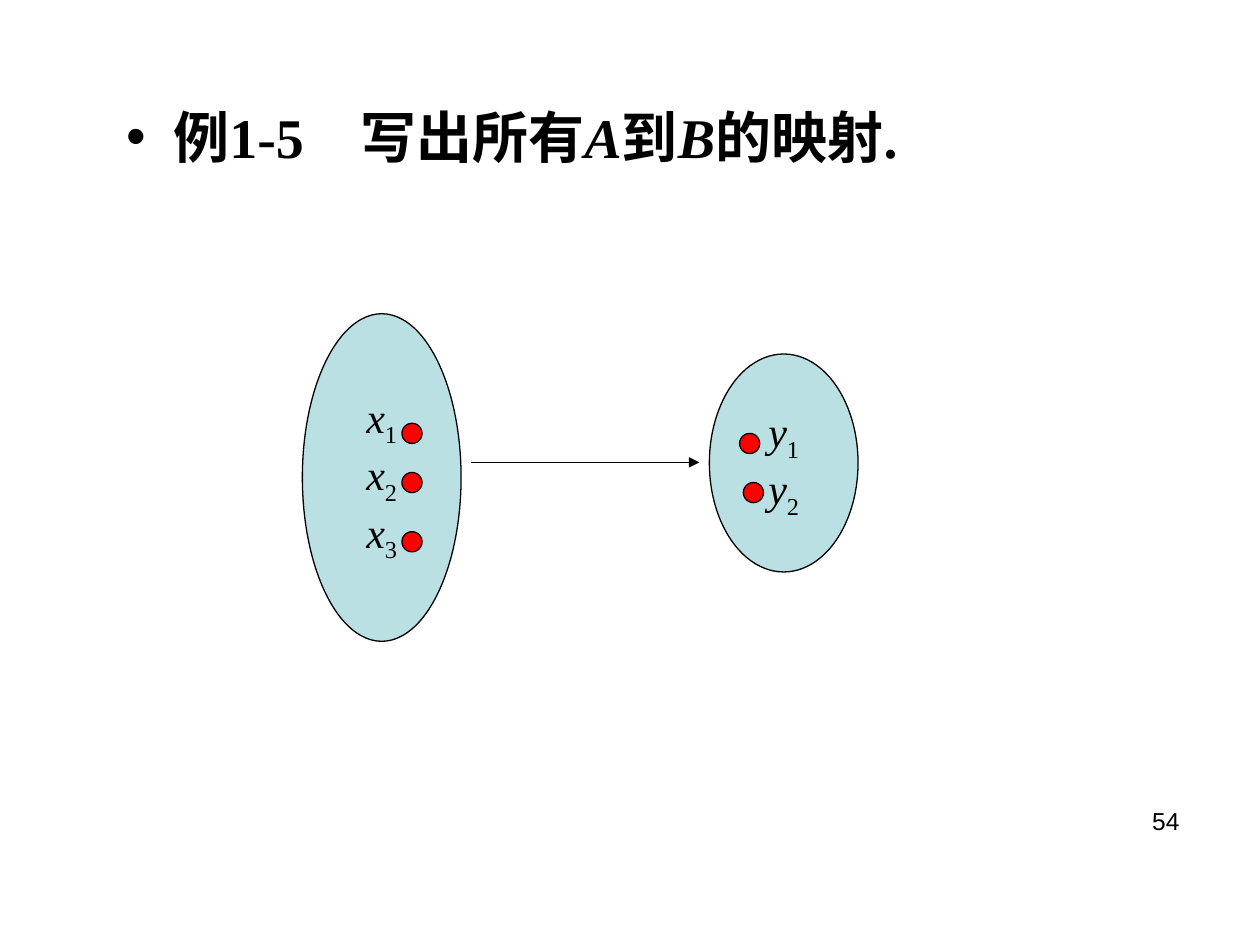
from lxml import etree
from pptx import Presentation
from pptx.dml.color import RGBColor
from pptx.enum.shapes import MSO_CONNECTOR, MSO_SHAPE
from pptx.enum.text import MSO_ANCHOR, MSO_AUTO_SIZE, PP_ALIGN
from pptx.oxml.ns import qn
from pptx.util import Inches, Pt

BLACK = RGBColor(0x00, 0x00, 0x00)
RED = RGBColor(0xFF, 0x00, 0x00)
PALE_BLUE = RGBColor(0xBB, 0xE0, 0xE3)
OVAL = MSO_SHAPE.OVAL
STRAIGHT = MSO_CONNECTOR.STRAIGHT
TOP, MIDDLE = MSO_ANCHOR.TOP, MSO_ANCHOR.MIDDLE
CENTER, RIGHT = PP_ALIGN.CENTER, PP_ALIGN.RIGHT
NO_AUTOFIT = MSO_AUTO_SIZE.NONE
SERIF, SANS = "Times New Roman", "Arial"
DOT = 0.16


def set_font(font, name, size):
    """Give a font its typeface and size in black."""
    font.name, font.size = name, Pt(size)
    font.color.rgb = BLACK


def add_exercise(slide, box):
    """Fill the body placeholder with the bulleted exercise."""
    slide.shapes.title.element.getparent().remove(slide.shapes.title.element)
    s = slide.placeholders[1]
    s.left, s.top, s.width, s.height = map(Inches, box)
    tf = s.text_frame
    tf.auto_size, tf.vertical_anchor = NO_AUTOFIT, TOP
    p = tf.paragraphs[0]
    p.space_before = Pt(0)
    set_font(p.font, SERIF, 32)
    p.font.bold = True
    for text in ("例1-5　写出所有", "A", "到", "B", "的映射."):
        r = p.add_run()
        r.text = text
        r.font.italic = text in ("A", "B")


def add_oval(slide, box, color):
    """Add a thinly outlined oval and return it."""
    s = slide.shapes.add_shape(OVAL, *map(Inches, box))
    s.shadow.inherit = False
    s.fill.solid()
    s.fill.fore_color.rgb = color
    s.line.color.rgb = BLACK
    s.line.width = Pt(0.75)
    return s


def add_set(slide, box, letter, dots):
    """Draw a set with one subscripted label per dot, dots offset from the box."""
    left, top = box[:2]
    tf = add_oval(slide, box, PALE_BLUE).text_frame
    tf.word_wrap, tf.vertical_anchor = False, MIDDLE
    for number, (dx, dy) in enumerate(dots, 1):
        p = tf.paragraphs[0] if number == 1 else tf.add_paragraph()
        p.alignment = CENTER
        set_font(p.font, SERIF, 24)
        r = p.add_run()
        r.text, r.font.italic = letter, True
        r = p.add_run()
        r.text = str(number)
        r.font._element.set("baseline", "-25000")
        add_oval(slide, (left + dx, top + dy, DOT, DOT), RED)


def add_arrow(slide, start, end, y):
    """Draw a level arrow from start to end."""
    s = slide.shapes.add_connector(
        STRAIGHT, Inches(start), Inches(y), Inches(end), Inches(y))
    s.line.color.rgb = BLACK
    s.line.width = Pt(0.75)
    etree.SubElement(s.line._get_or_add_ln(), qn("a:tailEnd"), type="triangle")
    etree.SubElement(s._element.spPr, qn("a:effectLst"))


def add_page_number(slide, box, number):
    """Write the right-aligned page number."""
    tf = slide.shapes.add_textbox(*map(Inches, box)).text_frame
    tf.word_wrap = True
    p = tf.paragraphs[0]
    p.alignment = RIGHT
    set_font(p.font, SANS, 14)
    p.add_run().text = str(number)


def main():
    """Build the mapping exercise slide."""
    prs = Presentation()
    prs.slide_width, prs.slide_height = Inches(10), Inches(7.5)
    slide = prs.slides.add_slide(prs.slide_layouts[1])
    add_exercise(slide, (0.9, 0.76, 9, 0.79))
    add_set(slide, (2.4, 2.49, 1.26, 2.6), "x",
            ((0.79, 0.87), (0.79, 1.26), (0.79, 1.73)))
    add_set(slide, (5.63, 2.81, 1.18, 1.73), "y",
            ((0.24, 0.63), (0.27, 1.02)))
    add_arrow(slide, 3.74, 5.55, 3.67)
    add_page_number(slide, (7.13, 6.35, 2.33, 0.52), 54)
    prs.save("out.pptx")


if __name__ == "__main__":
    main()
